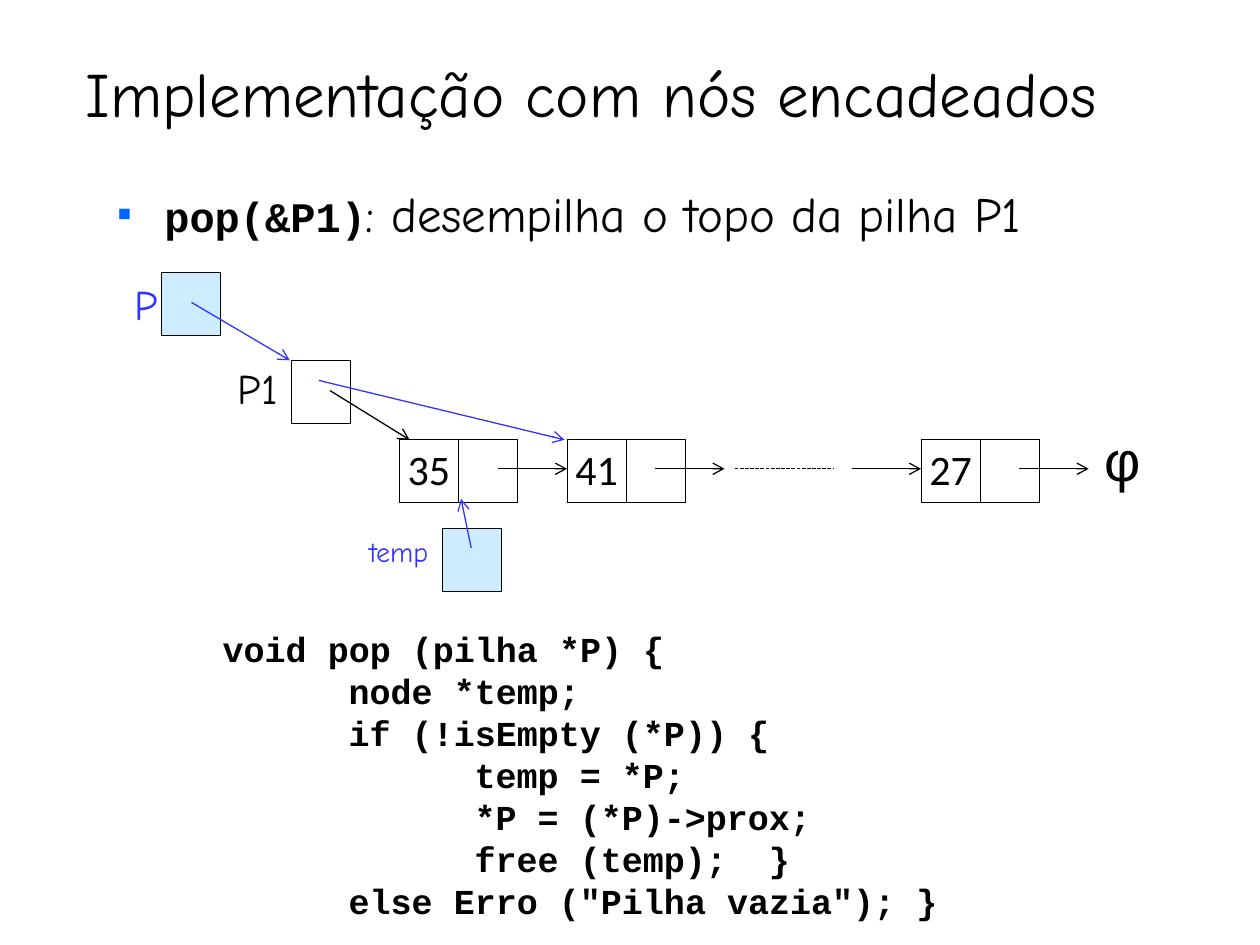
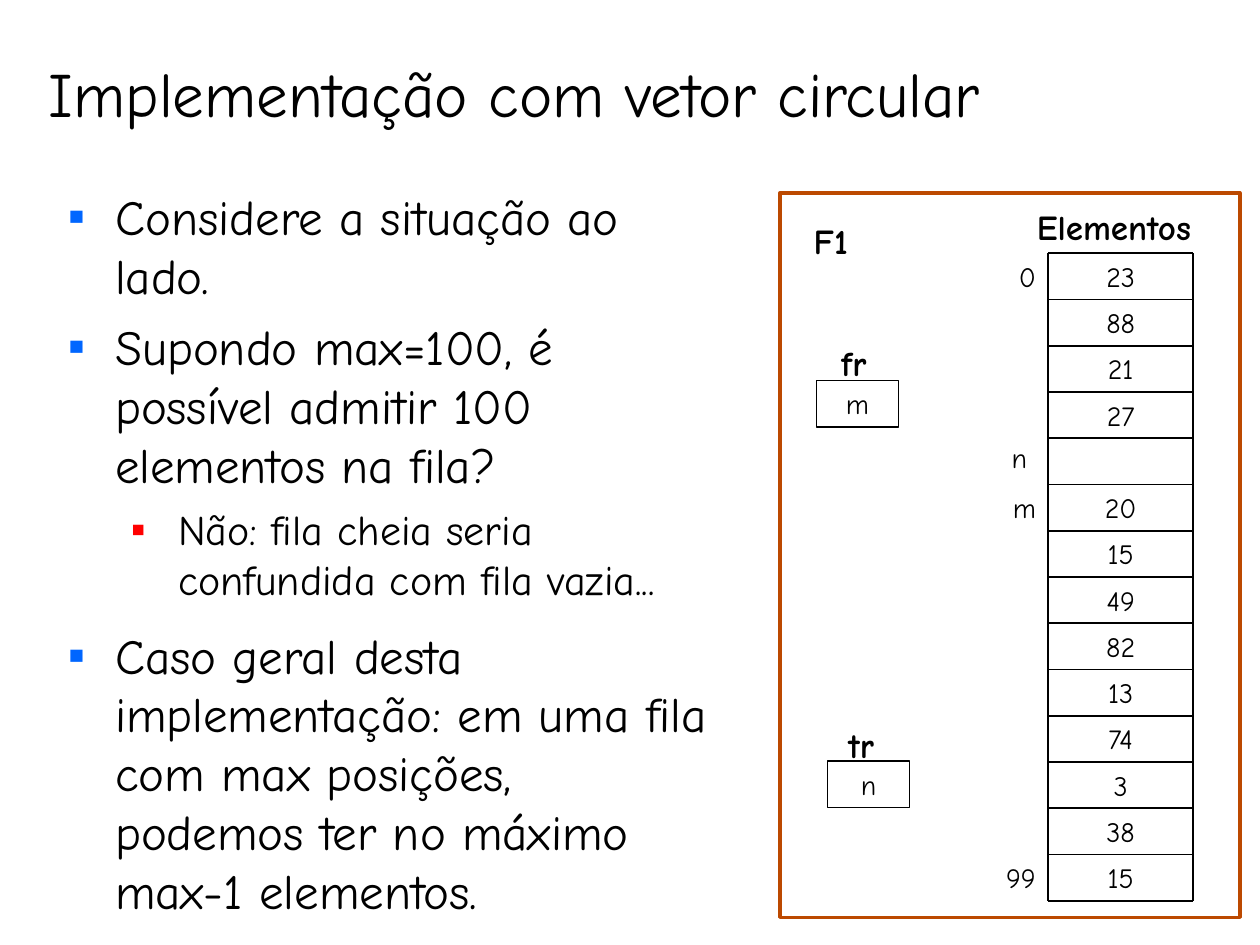
from dataclasses import dataclass

from lxml import etree
from pptx import Presentation
from pptx.dml.color import RGBColor
from pptx.enum import dml, shapes, text
from pptx.oxml import ns
from pptx.util import Pt


@dataclass(frozen=True)
class Theme:
    black: str = "000000"
    white: str = "FFFFFF"
    blue: str = "3333FF"
    pale_blue: str = "CCECFF"
    bullet_blue: str = "0066FF"
    bullet_red: str = "FF0000"
    frame: str = "BC4900"
    body_font: str = "Comic Neue"
    code_font: str = "Courier New"
    number_font: str = "Calibri"
    symbol_font: str = "Arial"
    title_size: int = 36
    symbol_size: int = 32
    body_size: int = 28
    large_size: int = 24
    code_size: int = 20
    small_size: int = 16


THEME = Theme()
LEFT, CENTER, RIGHT = text.PP_ALIGN.LEFT, text.PP_ALIGN.CENTER, text.PP_ALIGN.RIGHT

# Linked-node slide
POP_TITLE = "Implementação com nós encadeados"
POP_CALL, POP_MEANING = "pop(&P1)", ": desempilha o topo da pilha P1"
POP_CODE = [
    "void pop (pilha *P) {",
    "\tnode *temp;",
    "\tif (!isEmpty (*P)) {",
    "\t\ttemp = *P;",
    "\t\t*P = (*P)->prox;",
    "\t\tfree (temp);  }",
    '\telse Erro ("Pilha vazia"); }',
]
CELL_WIDTH, CELL_HEIGHT = 33.8, 32.4
NODE_TOP, ARROW_Y = 251.3, 267.9
NODES = [("35", 228.2), ("41", 324), ("27", 526.3)]
POINTERS = [  # left, top, fill
    (166.3, 205.9, THEME.white),
    (92.2, 155.5, THEME.pale_blue),
    (252.7, 301.7, THEME.pale_blue),
]
LABELS = [  # text, box, size, font, colour
    ("φ", (624.2, 239.8, 31, 46.1), THEME.symbol_size, THEME.symbol_font, THEME.black),
    ("P1", (128.9, 203.8, 37.4, 36), THEME.large_size, THEME.body_font, THEME.black),
    ("P", (69.8, 155.5, 27.4, 36), THEME.large_size, THEME.body_font, THEME.blue),
    ("temp", (203.8, 301.7, 48.2, 26.6), THEME.small_size, THEME.body_font, THEME.blue),
]
LINK_STARTS, LINK_LENGTH = [284.4, 374.4, 486.7, 582.5], 39.6
GAP_LINE = (419.8, ARROW_Y, 475.9, ARROW_Y)
POINTER_ARROWS = [
    ((109.4, 172.8, 165.6, 205.9), THEME.blue),
    ((269.3, 313.2, 263.5, 285.1), THEME.blue),
    ((182.2, 217.4, 322.6, 251.3), THEME.blue),
    ((188.6, 223.2, 234, 251.3), THEME.black),
]

# Circular-array slide
QUEUE_TITLE = "Implementação com vetor circular"
QUEUE_POINTS = [  # text, level, space before
    ("Considere a situação ao lado.", 0, 0),
    ("Supondo max=100, é possível admitir 100 elementos na fila?", 0, 7),
    ("Não: fila cheia seria confundida com fila vazia...", 1, 6),
    ("Caso geral desta implementação: em uma fila com max posições, "
     "podemos ter no máximo max-1 elementos.", 0, 12),
]
ELEMENTS = ["23", "88", "21", "27", "", "20", "15", "49", "82", "13", "74", "3", "38", "15"]
INDEXES = [  # text, row, horizontal and vertical shift
    ("0", 0, 0, 0), ("n", 4, -5, -2), ("m", 5, 0, 0), ("99", 13, 0, 0),
]
ARRAY_LEFT, ARRAY_TOP, ARRAY_WIDTH, ROW_HEIGHT = 599, 144.7, 82.8, 26.43
INDEX_WIDTH = 68.4
HEADINGS = [  # text, box, alignment
    ("Elementos", (585.4, 113.8, 118.1, 31.7), LEFT),
    ("F1", (457.9, 121.7, 46.1, 31.7), LEFT),
    ("fr", (466.6, 191.5, 42.5, 31.7), CENTER),
    ("tr", (473, 409.7, 38.2, 31.7), CENTER),
]
INDEX_BOXES = [("m", 466.6, 217.4), ("n", 473, 434.9)]
FRAME = (445.7, 110.2, 262.8, 414)

LEVELS = [  # indent, size, bullet colour
    (27, THEME.body_size, THEME.bullet_blue),
    (63, THEME.large_size, THEME.bullet_red),
]


def rgb(value):
    return RGBColor.from_string(value)


def points(values):
    return [Pt(value) for value in values]


def add_element(parent, tag, **attributes):
    return etree.SubElement(parent, ns.qn(tag), attributes)


def format_run(run, size, font=THEME.body_font, color=THEME.black, bold=False):
    run.font.size, run.font.name, run.font.bold = Pt(size), font, bold
    run.font.color.rgb = rgb(color)


def write(frame, content, size, align=LEFT, **style):
    frame.text = content
    for paragraph in frame.paragraphs:
        paragraph.alignment = align
        for run in paragraph.runs:
            format_run(run, size, **style)


def add_text(slide, content, box, size, align=LEFT, wrap=True, **style):
    shape = slide.shapes.add_textbox(*points(box))
    shape.text_frame.word_wrap = wrap
    write(shape.text_frame, content, size, align, **style)
    return shape


def add_title(slide, content, left, width):
    shape = add_text(slide, content, (left, 23.8, width, 54), THEME.title_size)
    shape.text_frame.vertical_anchor = text.MSO_ANCHOR.BOTTOM


def add_rectangle(slide, box, color, width):
    shape = slide.shapes.add_shape(shapes.MSO_SHAPE.RECTANGLE, *points(box))
    shape.shadow.inherit = False
    shape.fill.background()
    shape.line.color.rgb, shape.line.width = rgb(color), Pt(width)
    return shape


def add_line(slide, ends, color=THEME.black, width=0.75, arrow=False):
    line = slide.shapes.add_connector(shapes.MSO_CONNECTOR.STRAIGHT, *points(ends))
    line.line.color.rgb, line.line.width = rgb(color), Pt(width)
    if arrow:
        add_element(line.line._get_or_add_ln(), "a:tailEnd", type="arrow")
    add_element(line._element.spPr, "a:effectLst")
    return line


def set_bullet(paragraph, level):
    indent, _, color = LEVELS[level]
    paragraph.level = level
    properties = paragraph._p.get_or_add_pPr()
    properties.set("marL", str(Pt(indent)))
    properties.set("indent", str(-Pt(27)))
    add_element(add_element(properties, "a:buClr"), "a:srgbClr", val=color)
    add_element(properties, "a:buFont", typeface=THEME.symbol_font)
    add_element(properties, "a:buChar", char="▪")


def set_borders(cell):
    properties = cell._tc.get_or_add_tcPr()
    for position, side in enumerate(("a:lnL", "a:lnR", "a:lnT", "a:lnB")):
        border = add_element(properties, side, w=str(Pt(0.45)))
        add_element(add_element(border, "a:solidFill"), "a:srgbClr", val=THEME.black)
        properties.insert(position, border)


def add_cells(slide, left, top, values, fill=THEME.white):
    """Add a one-row table that stands for a memory node."""
    table = slide.shapes.add_table(
        1, len(values), *points((left, top, CELL_WIDTH * len(values), CELL_HEIGHT))).table
    table.first_row = table.horz_banding = False
    for cell, value in zip(table.iter_cells(), values):
        cell.fill.solid()
        cell.fill.fore_color.rgb = rgb(fill)
        set_borders(cell)
        cell.margin_left = cell.margin_right = Pt(0.72)
        cell.vertical_anchor = text.MSO_ANCHOR.BOTTOM
        write(cell.text_frame, value, THEME.large_size, CENTER, font=THEME.number_font)
        if not value:
            end = add_element(cell.text_frame.paragraphs[0]._p, "a:endParaRPr")
            end.set("sz", str(THEME.large_size * 100))


def add_code(slide, lines, box):
    shape = add_text(slide, "\n".join(lines), box, THEME.code_size,
                     font=THEME.code_font, bold=True)
    shape.text_frame.margin_top = Pt(6)
    for paragraph in shape.text_frame.paragraphs:
        paragraph.line_spacing = Pt(24)
        tabs = add_element(paragraph._p.get_or_add_pPr(), "a:tabLst")
        for stop in (72, 144):
            add_element(tabs, "a:tab", pos=str(Pt(stop)), algn="l")


def build_pop_slide(slide):
    add_title(slide, POP_TITLE, 41.8, 635)
    body = add_text(slide, POP_CALL, (59.8, 101.5, 592.6, 50.4), THEME.large_size,
                    font=THEME.code_font, bold=True)
    paragraph = body.text_frame.paragraphs[0]
    set_bullet(paragraph, 0)
    meaning = paragraph.add_run()
    meaning.text = POP_MEANING
    format_run(meaning, THEME.body_size)
    add_code(slide, POP_CODE, (120.2, 352.8, 523.4, 175.7))

    for value, left in NODES:
        add_cells(slide, left, NODE_TOP, [value, ""])
    for left, top, fill in POINTERS:
        add_cells(slide, left, top, [""], fill)
    for content, box, size, font, color in LABELS:
        add_text(slide, content, box, size, wrap=False, font=font, color=color)

    for start in LINK_STARTS:
        add_line(slide, (start, ARROW_Y, start + LINK_LENGTH, ARROW_Y), arrow=True)
    gap = add_line(slide, GAP_LINE)
    gap.line.dash_style = dml.MSO_LINE.SQUARE_DOT
    for ends, color in POINTER_ARROWS:
        add_line(slide, ends, color, arrow=True)


def build_array(slide):
    right = ARRAY_LEFT + ARRAY_WIDTH
    bottom = ARRAY_TOP + ROW_HEIGHT * len(ELEMENTS)
    for row, value in enumerate(ELEMENTS):
        if value:
            box = (ARRAY_LEFT, ARRAY_TOP + row * ROW_HEIGHT, ARRAY_WIDTH, ROW_HEIGHT)
            add_text(slide, value, box, THEME.small_size, CENTER)
    for content, row, shift_x, shift_y in INDEXES:
        box = (ARRAY_LEFT - INDEX_WIDTH + shift_x,
               ARRAY_TOP + row * ROW_HEIGHT + shift_y, INDEX_WIDTH, ROW_HEIGHT)
        add_text(slide, content, box, THEME.small_size, RIGHT)
    for row in range(len(ELEMENTS) + 1):
        y = ARRAY_TOP + row * ROW_HEIGHT
        add_line(slide, (ARRAY_LEFT, y, right, y), width=1)
    for x in (ARRAY_LEFT, right):
        add_line(slide, (x, ARRAY_TOP, x, bottom), width=1)


def build_queue_slide(slide):
    add_title(slide, QUEUE_TITLE, 20.9, 680.4)
    body = add_text(slide, "\n".join(point[0] for point in QUEUE_POINTS),
                    (31.7, 103, 380.2, 424.8), THEME.body_size)
    for paragraph, (_, level, space) in zip(body.text_frame.paragraphs, QUEUE_POINTS):
        set_bullet(paragraph, level)
        if space:
            paragraph.space_before = Pt(space)
        paragraph.runs[0].font.size = Pt(LEVELS[level][1])

    for content, left, top in INDEX_BOXES:
        shape = add_rectangle(slide, (left, top, 46.8, 26.6), THEME.black, 0.75)
        write(shape.text_frame, content, THEME.small_size, CENTER)
    add_rectangle(slide, FRAME, THEME.frame, 2)
    for content, box, align in HEADINGS:
        add_text(slide, content, box, THEME.code_size, align, bold=True)
    build_array(slide)


def main():
    presentation = Presentation()
    presentation.slide_width, presentation.slide_height = Pt(720), Pt(540)
    blank = presentation.slide_layouts[6]
    for build in (build_pop_slide, build_queue_slide):
        build(presentation.slides.add_slide(blank))
    presentation.save("out.pptx")


if __name__ == "__main__":
    main()
